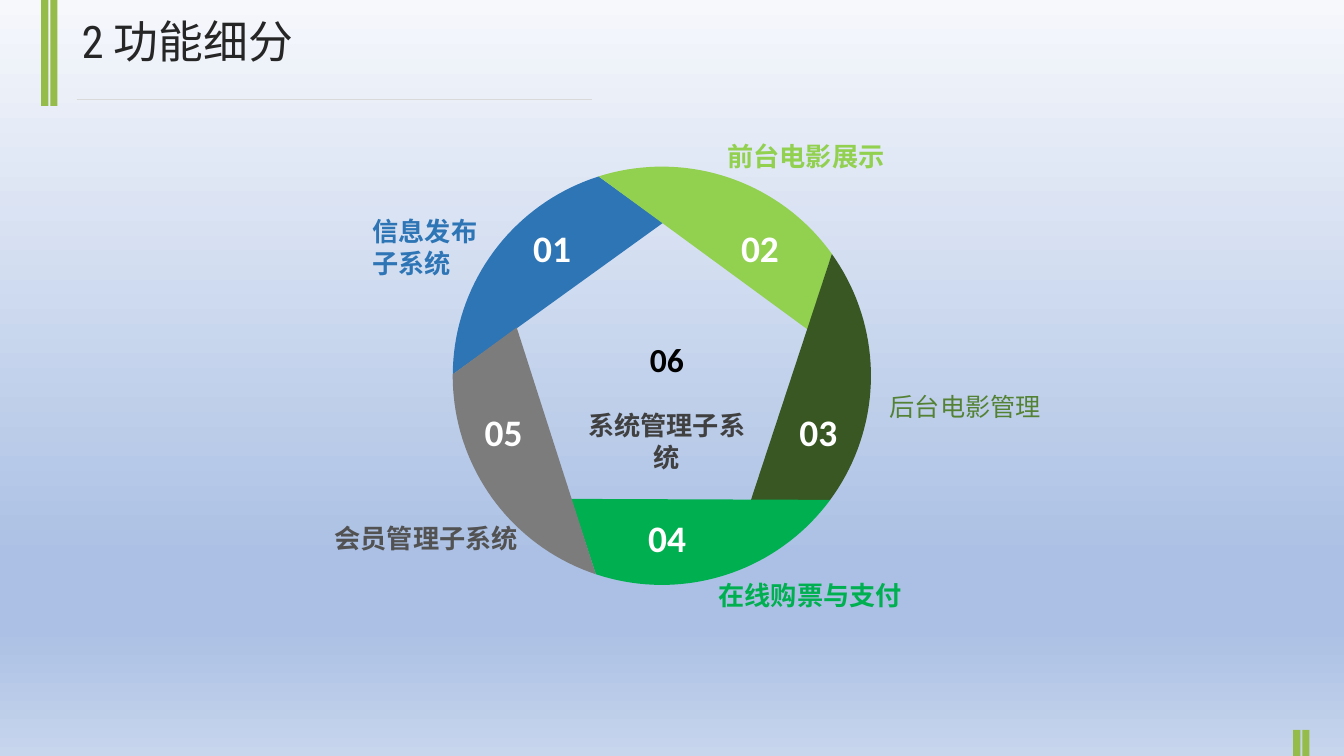
import math
import pptx
import pptx.util
import pptx.dml.color
import pptx.enum.shapes
import pptx.enum.text
import lxml.etree

Cm, Pt = pptx.util.Cm, pptx.util.Pt
RGB = pptx.dml.color.RGBColor.from_string
ALIGN = pptx.enum.text.PP_ALIGN
NS = "{http://schemas.openxmlformats.org/drawingml/2006/main}"
HUES = {
    "bar": "95BC49", "rule": "D9D9D9", "title": "262626", "white": "FFFFFF",
    "black": "000000", "core": "404040", "blue": "2E75B6", "lime": "92D050",
    "forest": "385723", "green": "00B050", "gray": "7C7C7C",
    "slate": "525252", "olive": "548235",
}
SKY = [(0, "F6F8FC"), (74, "ABC0E4"), (83, "ABC0E4"), (100, "C7D5ED")]
BLADES = ["blue", "lime", "forest", "green", "gray"]
NUMS = [(12.62, 5.54), (17.86, 5.54), (19.33, 10.19), (15.52, 12.85), (11.4, 10.19)]
LABELS = [
    ("信息发布子系统", (9.14, 5.31, 3.4, 1.85), "Arial", "blue", 18.7, True),
    ("前台电影展示", (18.08, 3.4, 7.19, 1.07), "Arial", "lime", 18.7, True),
    ("后台电影管理", (22.17, 9.73, 5.11, 1.02), "Calibri", "olive", 18, False),
    ("在线购票与支付", (17.86, 14.48, 7.19, 1.07), "Calibri", "green", 18.7, True),
    ("会员管理子系统", (8.18, 13.03, 7.19, 1.07), "Calibri", "slate", 18.7, True),
]


def style(para, face, size, hue, bold=True, align=ALIGN.LEFT):
    """Set the font and alignment of one paragraph."""
    para.alignment = align
    font = para.font
    font.name, font.size, font.bold = face, Pt(size), bold
    font.color.rgb = RGB(HUES[hue])


def plain(shape, hue):
    """Give a shape a flat fill with no line or shadow."""
    shape.shadow.inherit = False
    shape.fill.solid()
    shape.fill.fore_color.rgb = RGB(HUES[hue])
    shape.line.fill.background()


def frame(slide, box):
    """Add a wrapping text box and return its text frame."""
    text = slide.shapes.add_textbox(*map(Cm, box)).text_frame
    text.word_wrap = True
    return text


def sky(slide):
    """Fill the background with a vertical gradient."""
    fill = slide.background.fill
    fill.gradient()
    fill.gradient_angle = 270
    stops = next(slide.element.iter(NS + "gsLst"))
    for old in list(stops):
        stops.remove(old)
    for pos, hue in SKY:
        stop = lxml.etree.SubElement(stops, NS + "gs", pos=str(pos * 1000))
        lxml.etree.SubElement(stop, NS + "srgbClr", val=hue)


def bars(slide, left, top, height):
    """Draw a pair of slim upright bars."""
    for step in range(2):
        bar = slide.shapes.add_shape(
            pptx.enum.shapes.MSO_SHAPE.RECTANGLE,
            Cm(left + step * 0.23), Cm(top), Cm(0.18), Cm(height))
        plain(bar, "bar")


def header(slide, left, top, width, height):
    """Place the title and the thin rule beneath it."""
    title = slide.shapes.title
    title.left, title.top = Cm(left), Cm(top)
    title.width, title.height = Cm(width), Cm(height)
    text = title.text_frame
    text.text = "2 功能细分"
    text.vertical_anchor = pptx.enum.text.MSO_ANCHOR.MIDDLE
    style(text.paragraphs[0], "Roboto Condensed", 32, "title", False)
    rule = slide.shapes.add_connector(
        pptx.enum.shapes.MSO_CONNECTOR.STRAIGHT,
        Cm(left + 0.13), Cm(top + 2.31), Cm(left + 13.13), Cm(top + 2.31))
    rule.line.color.rgb = RGB(HUES["rule"])
    rule.line.width = Pt(0.5)
    lxml.etree.SubElement(rule.element.spPr, NS + "effectLst")


def wheel(slide, left, top, size):
    """Draw five blades around a pentagon, each turned by 72 degrees."""
    outer = size / 2
    inner = outer * math.cos(math.radians(36 + 7)) 

    def spot(angle, reach):
        turn = math.radians(angle)
        return (Cm(left + outer + reach * math.cos(turn)),
                Cm(top + outer + reach * math.sin(turn)))

    for rank, hue in enumerate(BLADES):
        start = 180.4 + 72 * rank
        arc = [spot(start + 2 * step, outer) for step in range(37)]
        tip = spot(start + 90, inner)
        pen = slide.shapes.build_freeform(*arc[0])
        pen.add_line_segments(arc[1:] + [tip])
        plain(pen.convert_to_shape(), hue)

    for rank, (x, y) in enumerate(NUMS, 1):
        para = frame(slide, (x, y, 2.59, 1.4)).paragraphs[0]
        para.text = f"{rank:02}"
        style(para, "Calibri", 26.7, "white", align=ALIGN.CENTER)


def core(slide, box):
    """Write the sixth item in the middle of the wheel."""
    text = frame(slide, box)
    text.text = "06\n系统管理子系统"
    num, name = text.paragraphs
    style(num, "Calibri", 24, "black", align=ALIGN.CENTER)
    style(name, "Calibri", 18.7, "core", align=ALIGN.CENTER)
    name.space_before = Pt(22)


def labels(slide):
    """Write the name beside each blade."""
    for words, box, face, hue, size, bold in LABELS:
        para = frame(slide, box).paragraphs[0]
        para.text = words
        style(para, face, size, hue, bold)


def main():
    """Build and save the slide."""
    deck = pptx.Presentation()
    deck.slide_width, deck.slide_height = Cm(33.87), Cm(19.05)
    slide = deck.slides.add_slide(deck.slide_layouts[5])
    sky(slide)
    bars(slide, 1.04, 0, 2.67)
    bars(slide, 32.59, 18.39, 0.66)
    header(slide, 1.8, 0.2, 14.33, 1.63)
    wheel(slide, 11.41, 4.2, 10.54)
    core(slide, (14.38, 8.41, 4.85, 3.68))
    labels(slide)
    deck.save("out.pptx")


if __name__ == "__main__":
    main()
